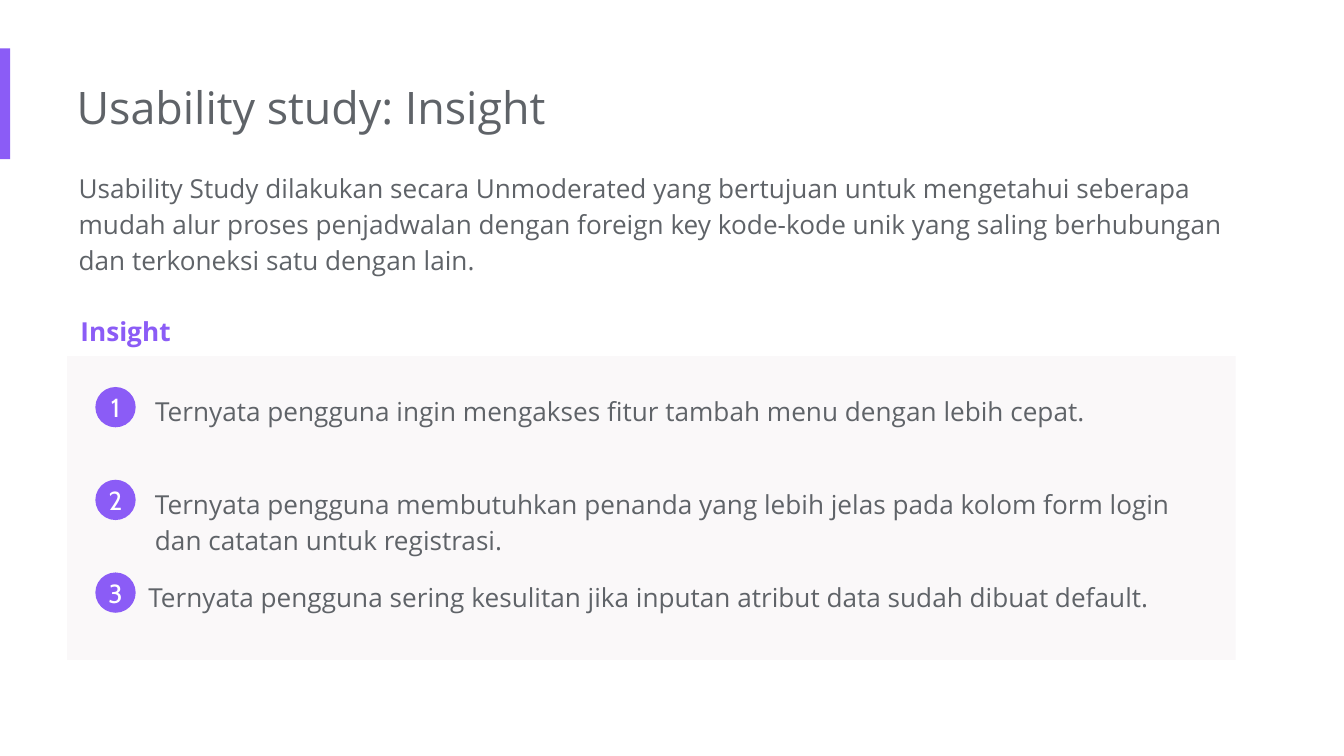
from pptx import Presentation
from pptx.dml.color import RGBColor
from pptx.enum.shapes import MSO_SHAPE
from pptx.enum.text import MSO_ANCHOR, PP_ALIGN
from pptx.util import Pt

PX = 4572  # 200 px to the inch
COLORS = {"purple": "8B5CF6", "gray": "5F6368", "panel": "FAF8F9", "white": "FFFFFF"}

presentation = Presentation()
presentation.slide_width = 2000 * PX
presentation.slide_height = 1125 * PX
slide = presentation.slides.add_slide(presentation.slide_layouts[6])


def add_filled_shape(kind, left, top, width, height, color):
    shape = slide.shapes.add_shape(kind, left * PX, top * PX, width * PX, height * PX)
    shape.shadow.inherit = False
    shape.fill.solid()
    shape.fill.fore_color.rgb = RGBColor.from_string(COLORS[color])
    shape.line.fill.background()
    return shape


def add_text(text, left, top, width, height, size=14, color="gray",
             bold=False, inset=20, spacing=1.15):
    """Add a wrapped text box; inset is the left margin in px."""
    box = slide.shapes.add_textbox(left * PX, top * PX, width * PX, height * PX)
    text_frame = box.text_frame
    text_frame.word_wrap = True
    text_frame.margin_left = inset * PX
    text_frame.margin_top = text_frame.margin_right = text_frame.margin_bottom = 20 * PX
    text_frame.text = text
    paragraph = text_frame.paragraphs[0]
    paragraph.line_spacing = spacing
    font = paragraph.runs[0].font
    font.name = "Open Sans"
    font.size = Pt(size)
    font.bold = bold
    font.color.rgb = RGBColor.from_string(COLORS[color])


# Heading and introduction
add_filled_shape(MSO_SHAPE.RECTANGLE, 0, 72, 15, 165, "purple")
add_text("Usability study: Insight", 114, 98, 1346, 122, size=24, inset=0, spacing=None)
add_text(
    "Usability Study dilakukan secara Unmoderated yang bertujuan untuk mengetahui "
    "seberapa mudah alur proses penjadwalan dengan foreign key kode-kode unik yang "
    "saling berhubungan dan terkoneksi satu dengan lain.",
    117, 230, 1722, 202, inset=0)

# Insight panel
add_text("Insight", 100, 442, 730, 88, color="purple", bold=True)
add_filled_shape(MSO_SHAPE.RECTANGLE, 100, 530, 1739, 452, "panel")

# Numbered insights: text, left, width, height
insights = [
    ("Ternyata pengguna ingin mengakses fitur tambah menu dengan lebih cepat.",
     211, 1582, 94),
    ("Ternyata pengguna membutuhkan penanda yang lebih jelas pada kolom form login "
     "dan catatan untuk registrasi.", 211, 1608, 148),
    ("Ternyata pengguna sering kesulitan jika inputan atribut data sudah dibuat default.",
     201, 1592, 94),
]
for index, (text, left, width, height) in enumerate(insights):
    top = 562 + 138 * index
    add_text(text, left, top, width, height)
    badge = add_filled_shape(MSO_SHAPE.OVAL, 142, top + 14, 60, 60, "purple")
    text_frame = badge.text_frame
    text_frame.margin_left = text_frame.margin_right = 0
    text_frame.margin_top = text_frame.margin_bottom = 0
    text_frame.vertical_anchor = MSO_ANCHOR.MIDDLE
    text_frame.text = str(index + 1)
    paragraph = text_frame.paragraphs[0]
    paragraph.alignment = PP_ALIGN.CENTER
    font = paragraph.runs[0].font
    font.name = "Cabin"
    font.size = Pt(14)
    font.color.rgb = RGBColor.from_string(COLORS["white"])

presentation.save("out.pptx")
